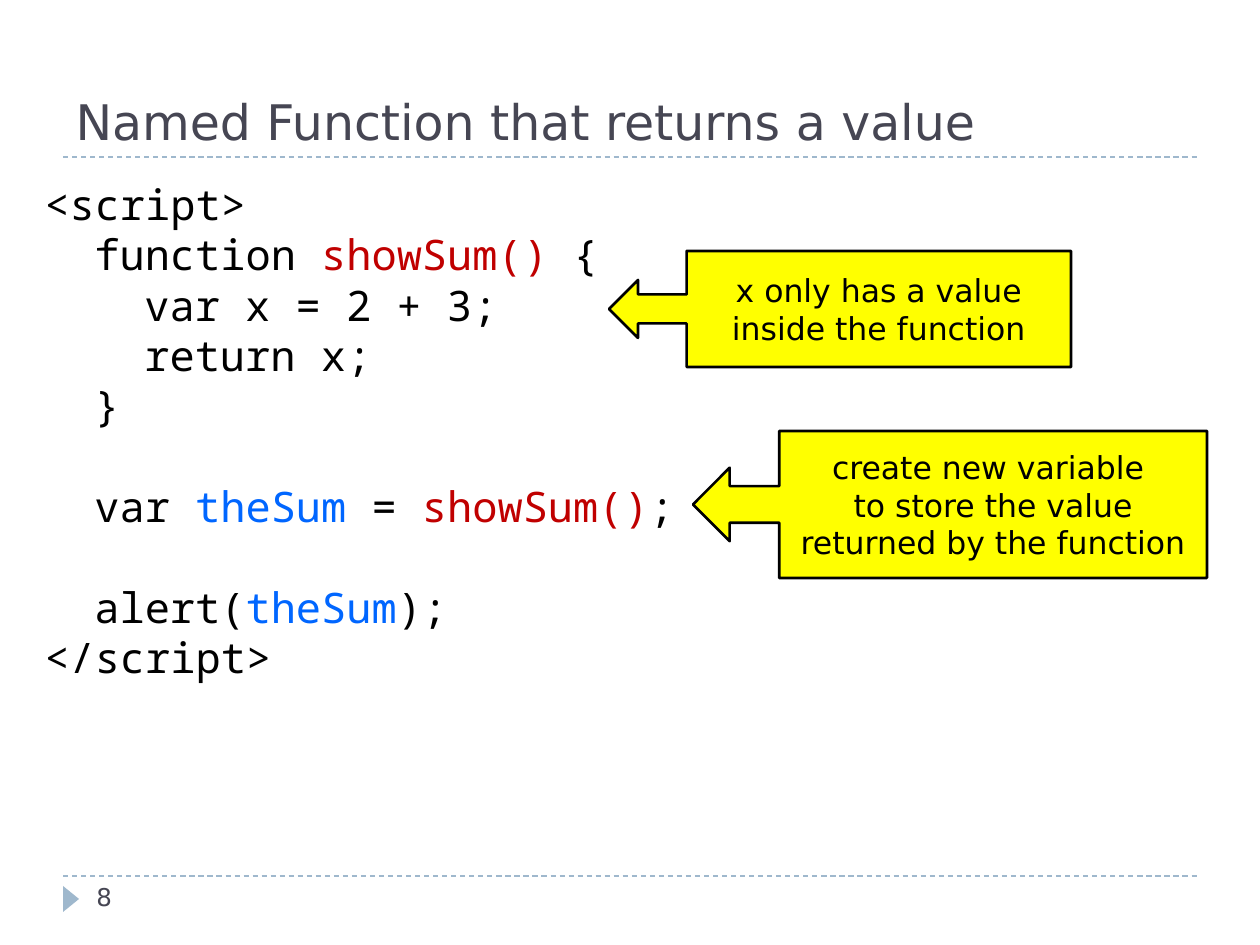
import pptx
import pptx.dml.color
import pptx.enum.dml
import pptx.enum.shapes
import pptx.enum.text
import pptx.util
import pptx.oxml.ns
import lxml.etree

EMU_PER_PX = 914400 / 126
CODE_INDENT = 50
CODE_LINE = 28.8

SHAPES = pptx.enum.shapes.MSO_SHAPE
ANCHOR = pptx.enum.text.MSO_ANCHOR
ALIGN = pptx.enum.text.PP_ALIGN

SLATE, STEEL, BLACK = "464653", "9FB8CD", "000000"
RED, BLUE, YELLOW = "C00000", "0066FF", "FFFF00"

# Each line: indent level, blank lines before it, coloured pieces of text
CODE = [
    (0, 0, [("<script>", BLACK)]),
    (1, 0, [("function ", BLACK), ("showSum() ", RED), ("{", BLACK)]),
    (2, 0, [("var x = 2 + 3;", BLACK)]),
    (2, 0, [("return x;", BLACK)]),
    (1, 0, [("}", BLACK)]),
    (1, 1, [("var ", BLACK), ("theSum", BLUE), (" = ", BLACK),
            ("showSum()", RED), (";", BLACK)]),
    (1, 1, [("alert(", BLACK), ("theSum", BLUE), (");", BLACK)]),
    (0, 0, [("</script>", BLACK)]),
]


def px(length):
    return pptx.util.Emu(round(length * EMU_PER_PX))


def color(hex_string):
    return pptx.dml.color.RGBColor.from_string(hex_string)


def add_text(paragraph, text, size=18, font="DejaVu Sans", fill=BLACK):
    run = paragraph.add_run()
    run.text = text
    run.font.size = pptx.util.Pt(size)
    run.font.name = font
    run.font.color.rgb = color(fill)


class SlideBuilder:
    """Holds the current slide and the style of its elements."""

    def __init__(self, presentation):
        self.slide = presentation.slides.add_slide(presentation.slide_layouts[5])
        self.shapes = self.slide.shapes

    def title(self, box, text):
        title = self.shapes.title
        title.left, title.top, title.width, title.height = map(px, box)
        frame = title.text_frame
        frame.vertical_anchor = ANCHOR.BOTTOM
        paragraph = frame.paragraphs[0]
        paragraph.alignment = ALIGN.LEFT
        add_text(paragraph, text, size=28, fill=SLATE)

    def rule(self, left, right, y):
        line = self.shapes.add_connector(
            pptx.enum.shapes.MSO_CONNECTOR.STRAIGHT, px(left), px(y), px(right), px(y))
        line.line.color.rgb = color(STEEL)
        line.line.width = pptx.util.Pt(0.75)
        line.line.dash_style = pptx.enum.dml.MSO_LINE.DASH
        properties = line._element.spPr
        lxml.etree.SubElement(properties, pptx.oxml.ns.qn("a:effectLst"))

    def shape(self, kind, box, fill, outline=None):
        shape = self.shapes.add_shape(kind, *map(px, box))
        shape.shadow.inherit = False
        shape.fill.solid()
        shape.fill.fore_color.rgb = color(fill)
        if outline:
            shape.line.color.rgb = color(outline)
            shape.line.width = pptx.util.Pt(1.5)
        else:
            shape.line.fill.background()
        return shape

    def marker(self, box):
        self.shape(SHAPES.ISOSCELES_TRIANGLE, box, STEEL).rotation = 90

    def callout(self, box, paragraphs):
        shape = self.shape(SHAPES.LEFT_ARROW_CALLOUT, box, YELLOW, BLACK)
        for index, value in enumerate((0.25, 0.25, 0.25, 0.832)):
            shape.adjustments[index] = value
        frame = shape.text_frame
        frame.word_wrap = True
        frame.vertical_anchor = ANCHOR.MIDDLE
        for index, text in enumerate(paragraphs):
            paragraph = frame.add_paragraph() if index else frame.paragraphs[0]
            paragraph.alignment = ALIGN.CENTER
            add_text(paragraph, text)

    def text_box(self, box):
        frame = self.shapes.add_textbox(*map(px, box)).text_frame
        frame.word_wrap = True
        return frame

    def code(self, box, lines):
        frame = self.text_box(box)
        for index, (level, blank_lines, pieces) in enumerate(lines):
            paragraph = frame.add_paragraph() if index else frame.paragraphs[0]
            paragraph.line_spacing = pptx.util.Pt(CODE_LINE)
            paragraph.space_before = pptx.util.Pt(CODE_LINE * blank_lines)
            properties = paragraph._p.get_or_add_pPr()
            properties.set("marL", str(px(CODE_INDENT * level)))
            for text, fill in pieces:
                add_text(paragraph, text, size=24, font="Noto Sans Mono", fill=fill)

    def page_number(self, box, number):
        add_text(self.text_box(box).paragraphs[0], number, size=14, fill=SLATE)


def main():
    presentation = pptx.Presentation()
    presentation.slide_width, presentation.slide_height = px(1260), px(945)

    builder = SlideBuilder(presentation)
    for y in (876, 157):
        builder.rule(63, 1197, y)
    builder.marker((58, 891, 26, 16))
    builder.title((63, 21, 1134, 136), "Named Function that returns a value")
    builder.code((32, 172, 1207, 676), CODE)
    builder.callout((609, 251, 462, 116), ["x only has a value inside the function"])
    builder.callout((693, 431, 514, 147),
                    ["create new variable ", "to store the value returned by the function"])
    builder.page_number((84, 876, 273, 50), "8")

    presentation.save("out.pptx")


if __name__ == "__main__":
    main()
